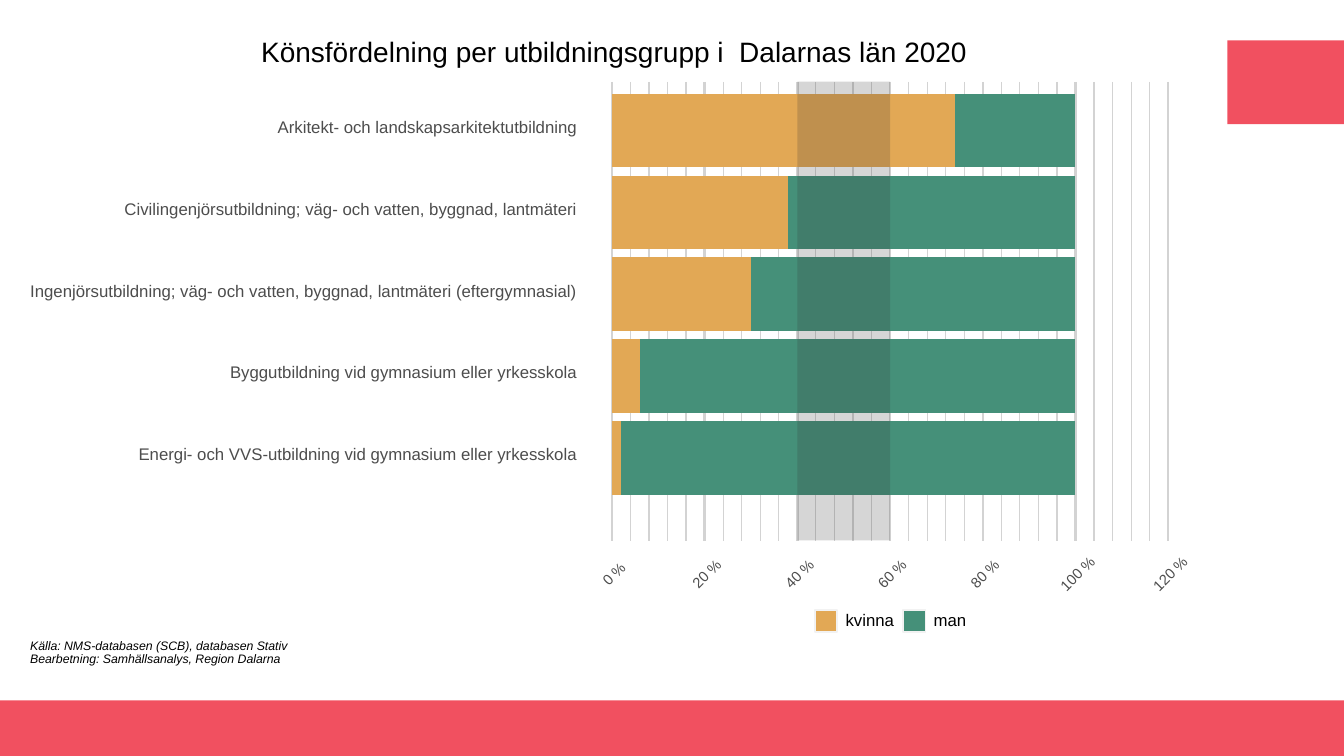
import pptx
import pptx.util
import pptx.dml.color
import pptx.chart.data
import pptx.enum.chart
import pptx.enum.shapes
import pptx.enum.text
import pptx.oxml
import pptx.oxml.ns
from dataclasses import dataclass

Cm = pptx.util.Cm
Pt = pptx.util.Pt
ALIGN = pptx.enum.text.PP_ALIGN
qn = pptx.oxml.ns.qn


@dataclass(frozen=True)
class Theme:
    font: str = "Arial"
    accent: str = "F15060"
    women: str = "E2A855"
    men: str = "459079"
    grid: str = "D3D3D3"
    band: str = "333333"
    swatch_edge: str = "F2F2F2"
    label: str = "4D4D4D"
    text: str = "000000"
    title_size: float = 20
    label_size: float = 12
    tick_size: float = 10.5
    source_size: float = 8.8


def rgb(colour):
    return pptx.dml.color.RGBColor.from_string(colour)


class Painter:
    def __init__(self, page, theme):
        self.page = page
        self.theme = theme

    def set_text(self, box, lines, size, colour, align=ALIGN.LEFT, italic=False, spacing=None):
        frame = box.text_frame
        frame.margin_left = frame.margin_right = frame.margin_top = frame.margin_bottom = 0
        frame.vertical_anchor = pptx.enum.text.MSO_ANCHOR.MIDDLE
        frame.word_wrap = True
        for index, line in enumerate(lines):
            para = frame.paragraphs[0] if index == 0 else frame.add_paragraph()
            para.alignment = align
            para.line_spacing = Pt(spacing or size)
            para.space_before = Pt(0)
            span = para.add_run()
            span.text = line
            span.font.name = self.theme.font
            span.font.size = Pt(size)
            span.font.italic = italic
            span.font.color.rgb = rgb(colour)

    def title(self, left, top, width, height, text):
        box = self.page.shapes.title
        box.left, box.top, box.width, box.height = Cm(left), Cm(top), Cm(width), Cm(height)
        self.set_text(box, [text], self.theme.title_size, self.theme.text)

    def text(self, left, top, width, height, lines, size, colour, rotation=0, **style):
        box = self.page.shapes.add_textbox(Cm(left), Cm(top), Cm(width), Cm(height))
        box.rotation = rotation
        self.set_text(box, lines, size, colour, **style)

    def rectangle(self, left, top, width, height, fill, edge=None, opacity=None):
        shape = self.page.shapes.add_shape(
            pptx.enum.shapes.MSO_SHAPE.RECTANGLE, Cm(left), Cm(top), Cm(width), Cm(height))
        shape.shadow.inherit = False
        shape.fill.solid()
        shape.fill.fore_color.rgb = rgb(fill)
        if edge:
            shape.line.color.rgb = rgb(edge)
            shape.line.width = Pt(1)
        else:
            shape.line.fill.background()
        if opacity:
            colour = shape._element.spPr.find(qn("a:solidFill")).find(qn("a:srgbClr"))
            alpha = pptx.oxml.parse_xml(
                f'<a:alpha {pptx.oxml.ns.nsdecls("a")} val="{opacity * 1000}"/>')
            colour.append(alpha)

    def vertical_line(self, x, top, height, weight):
        line = self.page.shapes.add_connector(
            pptx.enum.shapes.MSO_CONNECTOR.STRAIGHT, Cm(x), Cm(top), Cm(x), Cm(top + height))
        line.line.color.rgb = rgb(self.theme.grid)
        line.line.width = Pt(weight)
        line._element.spPr.append(
            pptx.oxml.parse_xml(f'<a:effectLst {pptx.oxml.ns.nsdecls("a")}/>'))

    def stacked_bars(self, left, top, width, height, categories, series, maximum, gap):
        data = pptx.chart.data.CategoryChartData()
        data.categories = categories
        for name, values, _ in series:
            data.add_series(name, values)
        chart = self.page.shapes.add_chart(
            pptx.enum.chart.XL_CHART_TYPE.BAR_STACKED,
            Cm(left), Cm(top), Cm(width), Cm(height), data).chart
        chart.font.name = self.theme.font
        chart.font.size = Pt(self.theme.label_size)
        chart.font.color.rgb = rgb(self.theme.label)
        chart.has_legend = chart.has_title = False
        chart.value_axis.minimum_scale = 0
        chart.value_axis.maximum_scale = maximum
        chart.value_axis.has_major_gridlines = False
        chart.category_axis.reverse_order = True
        chart.value_axis.visible = chart.category_axis.visible = False
        plot = chart.plots[0]
        plot.gap_width, plot.overlap, plot.vary_by_categories = gap, 100, False
        for bars, (_, _, colour) in zip(plot.series, series):
            bars.format.fill.solid()
            bars.format.fill.fore_color.rgb = rgb(colour)
            bars.format.line.fill.background()
        self.fill_frame(chart)

    def fill_frame(self, chart):
        """Stretch the plot over the whole frame and keep it see-through."""
        names = pptx.oxml.ns.nsdecls("c", "a")
        clear = f'<c:spPr {names}><a:noFill/><a:ln><a:noFill/></a:ln></c:spPr>'
        sizes = "".join(f'<c:{key} val="{value}"/>' for key, value in
                        (("xMode", "edge"), ("yMode", "edge"),
                         ("x", 0), ("y", 0), ("w", 1), ("h", 1)))
        space = chart._chartSpace
        area = space.chart.plotArea
        for old in area.findall(qn("c:layout")):
            area.remove(old)
        area.insert(0, pptx.oxml.parse_xml(
            f'<c:layout {names}><c:manualLayout><c:layoutTarget val="inner"/>'
            f'{sizes}</c:manualLayout></c:layout>'))
        area.append(pptx.oxml.parse_xml(clear))
        space.chart.addnext(pptx.oxml.parse_xml(clear))


theme = Theme()
deck = pptx.Presentation()
deck.slide_width, deck.slide_height = Cm(33.87), Cm(19.05)
painter = Painter(deck.slides.add_slide(deck.slide_layouts[5]), theme)

# Page decoration and title
painter.rectangle(0, 17.65, 33.87, 1.4, theme.accent)
painter.rectangle(30.93, 1.02, 2.94, 2.11, theme.accent)
painter.title(6.58, 1.04, 18.5, 0.66, "Könsfördelning per utbildningsgrupp i  Dalarnas län 2020")

# Share of women in each education group, per cent
women_share = {
    "Arkitekt- och landskapsarkitektutbildning": 74,
    "Civilingenjörsutbildning; väg- och vatten, byggnad, lantmäteri": 38,
    "Ingenjörsutbildning; väg- och vatten, byggnad, lantmäteri (eftergymnasial)": 30,
    "Byggutbildning vid gymnasium eller yrkesskola": 6,
    "Energi- och VVS-utbildning vid gymnasium eller yrkesskola": 2,
}
women = list(women_share.values())
men = [100 - share for share in women]
series = [("kvinna", women, theme.women), ("man", men, theme.men)]

plot_left, plot_width, axis_max = 15.42, 14.02, 120
grid_top, grid_height = 2.06, 11.56
bars_top, bars_height = 2.26, 10.32


def share_x(share):
    return plot_left + plot_width * share / axis_max


# Gridlines: thin every 4 per cent, heavy every 20
for share in range(0, axis_max + 1, 4):
    painter.vertical_line(share_x(share), grid_top, grid_height, 0.85 if share % 20 else 1.71)

# Bars and the 40-60 per cent balance band
painter.stacked_bars(plot_left, bars_top, plot_width, bars_height,
                     list(women_share), series, axis_max, 11)
painter.rectangle(share_x(40), grid_top, share_x(60) - share_x(40), grid_height,
                  theme.band, opacity=20)

# Group labels
row_height = bars_height / len(women_share)
for row, group in enumerate(women_share):
    centre = bars_top + row_height * (row + 0.5) - 0.06
    painter.text(0.5, centre - 0.25, 14.05, 0.5, [group], theme.label_size,
                 theme.label, align=ALIGN.RIGHT)

# Axis labels
for share in range(0, axis_max + 1, 20):
    painter.text(share_x(share) - 0.68, 14.28, 1.5, 0.4, [f"{share} %"], theme.tick_size,
                 theme.label, rotation=315, align=ALIGN.CENTER)

# Legend
for index, (name, _, colour) in enumerate(series):
    left = 20.54 + 2.22 * index
    painter.rectangle(left, 15.37, 0.56, 0.56, colour, edge=theme.swatch_edge)
    painter.text(left + 0.77, 15.42, 1.4, 0.46, [name], theme.label_size, theme.text)

# Source
painter.text(0.76, 16.12, 8, 0.66,
             ["Källa: NMS-databasen (SCB), databasen Stativ",
              "Bearbetning: Samhällsanalys, Region Dalarna"],
             theme.source_size, theme.text, italic=True, spacing=9.4)

deck.save("out.pptx")
